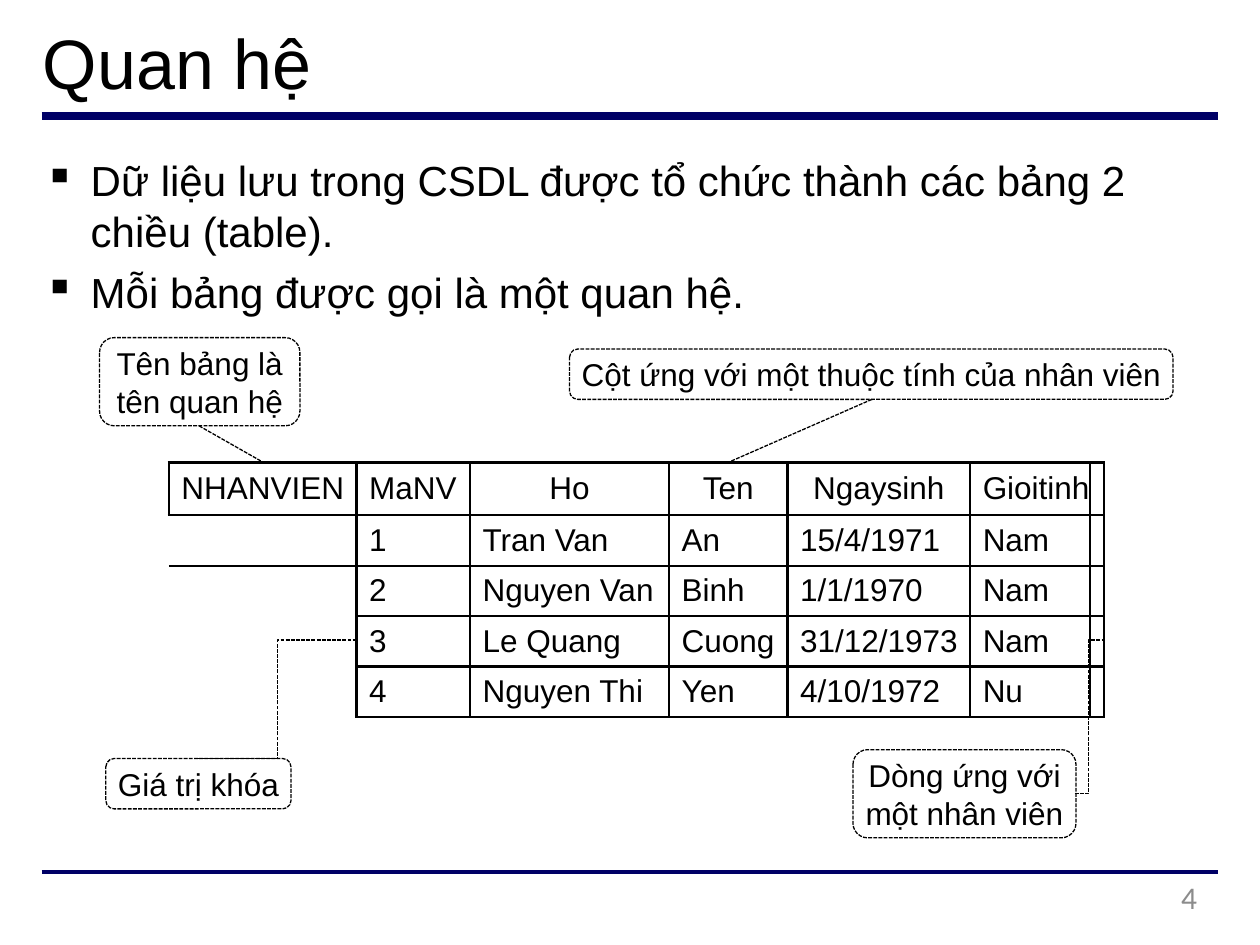
from dataclasses import dataclass

from lxml import etree
from pptx import Presentation
from pptx import util as u
from pptx.dml.color import RGBColor
from pptx.enum import dml, shapes, text
from pptx.oxml import ns


@dataclass(frozen=True)
class Theme:
    font: str = "Arial"
    number_font: str = "Calibri"
    ink: str = "000000"
    rule: str = "000066"
    muted: str = "8C8C8C"
    title: float = 40
    body: float = 24
    label: float = 18
    number: float = 18
    thin: float = 0.75
    border: float = 1.5


THEME = Theme()
WIDTH, HEIGHT = u.Inches(10), u.Inches(7.5)
COLUMNS, ROWS = 100, 75  # layout grid of the slide
LEFT, CENTER, RIGHT = (text.PP_ALIGN.LEFT, text.PP_ALIGN.CENTER,
                       text.PP_ALIGN.RIGHT)
TOP, MIDDLE, BOTTOM = (text.MSO_ANCHOR.TOP, text.MSO_ANCHOR.MIDDLE,
                       text.MSO_ANCHOR.BOTTOM)

HEADERS = ["NHANVIEN", "MaNV", "Ho", "Ten", "Ngaysinh", "Gioitinh", ""]
EMPLOYEES = [
    ["", "1", "Tran Van", "An", "15/4/1971", "Nam", ""],
    ["", "2", "Nguyen Van", "Binh", "1/1/1970", "Nam", ""],
    ["", "3", "Le Quang", "Cuong", "31/12/1973", "Nam", ""],
    ["", "4", "Nguyen Thi", "Yen", "4/10/1972", "Nu", ""],
]
CENTERED_HEADERS = {"Ho", "Ten", "Ngaysinh"}
FIELD_WIDTHS = [14.9, 9, 15.8, 9.4, 14.5, 9.5, 1.1]
RECORD_HEIGHTS = [4.2, 4, 4, 4, 4]


def col(n):
    return round(WIDTH * n / COLUMNS)


def row(n):
    return round(HEIGHT * n / ROWS)


def area(left, top, width, height):
    return col(left), row(top), col(width), row(height)


def apply(target, values):
    for name, value in values.items():
        setattr(target, name, value)


def add_xml(parent, tag, **attributes):
    return etree.SubElement(parent, ns.qn(tag), attributes)


def write(frame, lines, size, align=LEFT, anchor=TOP, font=THEME.font,
          color=THEME.ink, gap=0, bullet=None):
    apply(frame, dict(word_wrap=True, vertical_anchor=anchor, margin_left=0,
                      margin_right=0, margin_top=0, margin_bottom=0))
    for index, line in enumerate(lines):
        paragraph = frame.paragraphs[0] if index == 0 else frame.add_paragraph()
        paragraph.alignment = align
        if index:
            paragraph.space_before = u.Pt(gap)
        if bullet:
            properties = paragraph._p.get_or_add_pPr()
            properties.set("marL", str(col(3.9)))
            properties.set("indent", str(-col(3.7)))
            add_xml(properties, "a:buChar", char=bullet)
        run = paragraph.add_run()
        run.text = line
        apply(run.font, dict(name=font, size=u.Pt(size)))
        run.font.color.rgb = RGBColor.from_string(color)


def text_box(slide, place, lines, size, **style):
    write(slide.shapes.add_textbox(*area(*place)).text_frame, lines, size, **style)


def style_line(line, color, weight, dashed):
    line.color.rgb = RGBColor.from_string(color)
    line.width = u.Pt(weight)
    if dashed:
        line.dash_style = dml.MSO_LINE.SQUARE_DOT


def connect(slide, start, end, kind=shapes.MSO_CONNECTOR.STRAIGHT,
            color=THEME.ink, weight=THEME.thin, dashed=True):
    link = slide.shapes.add_connector(kind, col(start[0]), row(start[1]),
                                      col(end[0]), row(end[1]))
    style_line(link.line, color, weight, dashed)
    add_xml(link._element.spPr, "a:effectLst")


def callout(slide, place, lines):
    box = slide.shapes.add_shape(shapes.MSO_SHAPE.ROUNDED_RECTANGLE, *area(*place))
    box.shadow.inherit = False
    box.fill.background()
    style_line(box.line, THEME.ink, THEME.thin, True)
    write(box.text_frame, lines, THEME.label, align=CENTER, anchor=MIDDLE)
    box.text_frame.word_wrap = False


def set_borders(cell, sides):
    properties = cell._tc.get_or_add_tcPr()
    for side in "LRTB":
        line = add_xml(properties, f"a:ln{side}", w=str(u.Pt(THEME.border)))
        if side in sides:
            add_xml(add_xml(line, "a:solidFill"), "a:srgbClr", val=THEME.ink)
        else:
            add_xml(line, "a:noFill")


def sides_of(record, field):
    if record == 0 or field > 0:
        return "LRTB"
    return {1: "RTB", 2: "RT"}.get(record, "R")


def employee_table(slide, left, top):
    place = area(left, top, sum(FIELD_WIDTHS), sum(RECORD_HEIGHTS))
    table = slide.shapes.add_table(len(RECORD_HEIGHTS), len(FIELD_WIDTHS),
                                   *place).table
    apply(table, dict(first_row=False, horz_banding=False))
    for field, width in zip(table.columns, FIELD_WIDTHS):
        field.width = col(width)
    for record, height in zip(table.rows, RECORD_HEIGHTS):
        record.height = row(height)
    for r, values in enumerate([HEADERS] + EMPLOYEES):
        for c, value in enumerate(values):
            cell = table.cell(r, c)
            centered = value in CENTERED_HEADERS
            apply(cell, dict(vertical_anchor=MIDDLE, margin_right=0,
                             margin_top=0, margin_bottom=0,
                             margin_left=col(1) if value and not centered else 0))
            set_borders(cell, sides_of(r, c))
            cell.fill.background()
            paragraph = cell.text_frame.paragraphs[0]
            paragraph.text = value
            paragraph.alignment = CENTER if centered else LEFT
            apply(paragraph.font, dict(name=THEME.font, size=u.Pt(THEME.label)))
            paragraph.font.color.rgb = RGBColor.from_string(THEME.ink)


def main():
    deck = Presentation()
    apply(deck, dict(slide_width=WIDTH, slide_height=HEIGHT))
    slide = deck.slides.add_slide(deck.slide_layouts[6])

    # Rules above and below the content
    for level, weight in ((9.2, 4.5), (69.2, 2.25)):
        connect(slide, (3.3, level), (96.7, level), color=THEME.rule,
                weight=weight, dashed=False)

    # Title and bullets
    text_box(slide, (3.4, 1.3, 86.5, 6.9), ["Quan hệ"], THEME.title, anchor=BOTTOM)
    text_box(slide, (3.3, 12.3, 86.2, 13.1),
             ["Dữ liệu lưu trong CSDL được tổ chức thành các bảng 2 chiều (table).",
              "Mỗi bảng được gọi là một quan hệ."],
             THEME.body, gap=6, bullet="▪")

    # Employee relation
    employee_table(slide, 13.4, 36.7)

    # Callouts and their leaders
    callout(slide, (7.9, 26.8, 15.9, 7), ["Tên bảng là", "tên quan hệ"])
    callout(slide, (45.2, 27.7, 47.9, 4), ["Cột ứng với một thuộc tính của nhân viên"])
    callout(slide, (67.7, 59.5, 17.7, 7), ["Dòng ứng với", "một nhân viên"])
    callout(slide, (8.4, 60.2, 14.7, 4), ["Giá trị khóa"])
    connect(slide, (15.8, 33.8), (20.9, 36.7))
    connect(slide, (69.2, 31.7), (57.8, 36.7))
    for start, end in (((85.3, 63), (87.5, 50.8)), ((15.7, 60.2), (28.4, 50.8))):
        connect(slide, start, end, kind=shapes.MSO_CONNECTOR.ELBOW)

    # Slide number
    text_box(slide, (72, 69.7, 23, 3.8), ["4"], THEME.number, align=RIGHT,
             font=THEME.number_font, color=THEME.muted)

    deck.save("out.pptx")


if __name__ == "__main__":
    main()
